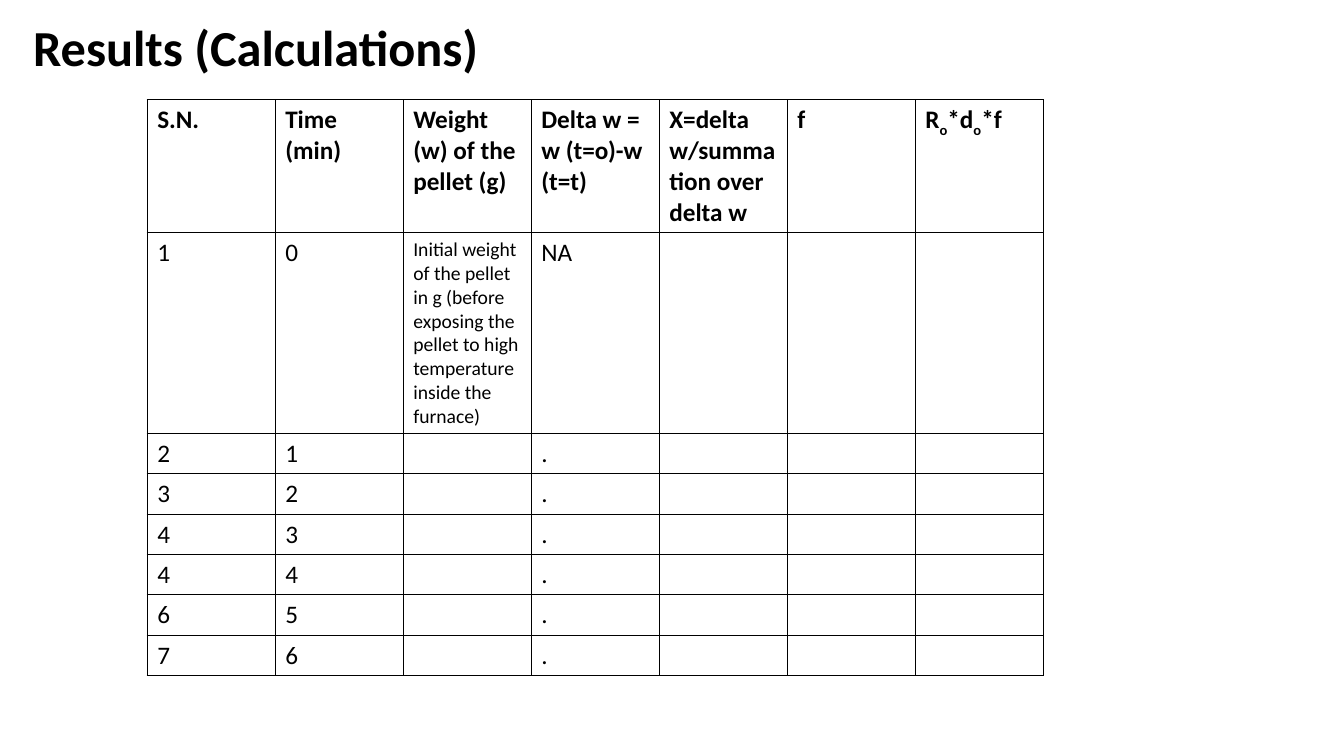
from lxml.etree import SubElement
from pptx import Presentation
from pptx.dml.color import RGBColor
from pptx.enum.text import MSO_ANCHOR
from pptx.oxml.ns import qn
from pptx.util import Inches, Pt

BLACK = "000000"


def style(font, size, bold=False, color=BLACK):
    font.name = "Calibri"
    font.size = Pt(size)
    font.bold = bold
    font.color.rgb = RGBColor.from_string(color)


def add_borders(cell, color=BLACK):
    properties = cell._tc.get_or_add_tcPr()
    for side in ("a:lnL", "a:lnR", "a:lnT", "a:lnB"):
        line = SubElement(properties, qn(side), w=str(Pt(1)))
        fill = SubElement(line, qn("a:solidFill"))
        SubElement(fill, qn("a:srgbClr"), val=color)


deck = Presentation()
deck.slide_width, deck.slide_height = Inches(13.33), Inches(7.5)
page = deck.slides.add_slide(deck.slide_layouts[6])

# Title
title = page.shapes.add_textbox(Inches(0.23), Inches(0), Inches(11.5), Inches(0.99))
title.text_frame.word_wrap = True
title.text_frame.vertical_anchor = MSO_ANCHOR.MIDDLE
para = title.text_frame.paragraphs[0]
para.text = "Results (Calculations)"
para.line_spacing = 0.9
style(para.font, 36, bold=True)

# Table content: "_" comes before each subscript letter
header = ["S.N.", "Time (min)", "Weight (w) of the pellet (g)",
          "Delta w = w (t=o)-w (t=t)", "X=delta w/summation over delta w",
          "f", "R_o*d_o*f"]
initial_weight = ("Initial weight of the pellet in g (before exposing the pellet "
                  "to high temperature inside the furnace)")
rows = [header, ["1", "0", initial_weight, "NA", "", "", ""]]
for time, number in enumerate("234467", start=1):
    rows.append([number, str(time), "", ".", "", "", ""])
heights = [1.32, 1.99] + [0.4] * 6

# Table
table = page.shapes.add_table(len(rows), len(header), Inches(1.46), Inches(0.99),
                              Inches(8.89), Inches(sum(heights))).table
table.first_row = True
table.horz_banding = False
for column in table.columns:
    column.width = Inches(1.27)

for r, (texts, height) in enumerate(zip(rows, heights)):
    table.rows[r].height = Inches(height)
    for c, text in enumerate(texts):
        cell = table.cell(r, c)
        add_borders(cell)
        cell.fill.background()
        para = cell.text_frame.paragraphs[0]
        style(para.font, 14 if text == initial_weight else 18, bold=r == 0)
        first, *rest = text.split("_")
        pieces = [(first, False)]
        for part in rest:
            pieces += [(part[0], True), (part[1:], False)]
        for piece, subscript in pieces:
            if piece:
                span = para.add_run()
                span.text = piece
                if subscript:
                    span.font._element.set("baseline", "-25000")

deck.save("out.pptx")
